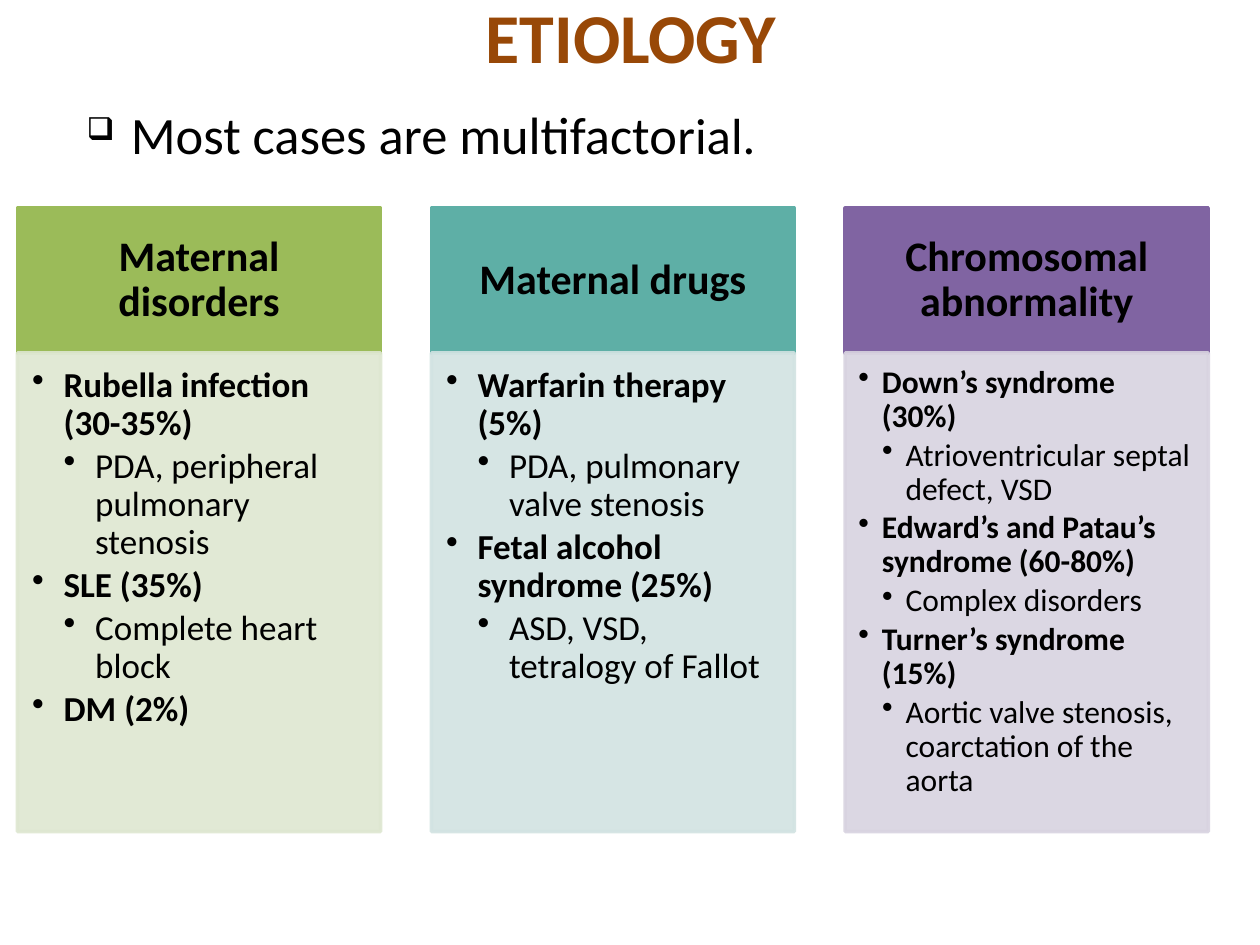
from dataclasses import dataclass

import pptx
import pptx.util
import pptx.dml.color
import pptx.enum.shapes
import pptx.enum.text
import pptx.oxml.ns
from lxml import etree

Pt = pptx.util.Pt
ALIGN = pptx.enum.text.PP_ALIGN
ANCHOR = pptx.enum.text.MSO_ANCHOR


@dataclass(frozen=True)
class Theme:
    font: str = "Calibri"
    title: str = "984807"
    text: str = "000000"
    title_size: int = 40
    lead_size: int = 30
    lead_end_size: int = 29
    head_size: int = 24


THEME = Theme()

# Column geometry, in points
LEFT, TOP, PITCH, WIDTH = 10, 119, 236.5, 207.5
HEAD_H, BODY_H = 82.75, 273.5

# Heading, heading colour, body colour, text size, indent step,
# body insets (left, top, right, bottom), items as (level, text)
COLUMNS = [
    ("Maternal disorders", "9BBB59", "DEE7D1", 20, 18, (8.4, 8.4, 11.2, 12.6), [
        (0, "Rubella infection (30-35%)"),
        (1, "PDA, peripheral pulmonary stenosis"),
        (0, "SLE (35%)"),
        (1, "Complete heart block"),
        (0, "DM (2%)"),
    ]),
    ("Maternal drugs", "5EAFA6", "D2E3E2", 20, 18, (8.4, 8.4, 11.2, 12.6), [
        (0, "Warfarin therapy (5%)"),
        (1, "PDA, pulmonary valve stenosis"),
        (0, "Fetal alcohol syndrome (25%)"),
        (1, "ASD, VSD, tetralogy of Fallot"),
    ]),
    ("Chromosomal abnormality", "8064A2", "D8D3E0", 18, 13.5, (7.5, 7.5, 10, 11.2), [
        (0, "Down’s syndrome (30%)"),
        (1, "Atrioventricular septal defect, VSD"),
        (0, "Edward’s and Patau’s syndrome (60-80%)"),
        (1, "Complex disorders"),
        (0, "Turner’s syndrome (15%)"),
        (1, "Aortic valve stenosis, coarctation of the aorta"),
    ]),
]


def rgb(color):
    return pptx.dml.color.RGBColor.from_string(color)


def add_run(p, text, size, bold=False, color=THEME.text):
    r = p.add_run()
    r.text = text
    r.font.name = THEME.font
    r.font.size = Pt(size)
    r.font.bold = bold
    r.font.color.rgb = rgb(color)


def set_bullet(p, char, left, hang, percent=100):
    """Give the paragraph a hanging bullet; lengths are in points."""
    pPr = p._p.get_or_add_pPr()
    pPr.set("marL", str(Pt(left)))
    pPr.set("indent", str(-Pt(hang)))
    qn = pptx.oxml.ns.qn
    etree.SubElement(pPr, qn("a:buSzPct"), val=str(percent * 1000))
    etree.SubElement(pPr, qn("a:buChar"), char=char)


def set_frame(tf, insets, anchor):
    tf.word_wrap = True
    tf.auto_size = pptx.enum.text.MSO_AUTO_SIZE.NONE
    tf.vertical_anchor = anchor
    tf.margin_left, tf.margin_top, tf.margin_right, tf.margin_bottom = map(Pt, insets)


def add_box(group, x, y, w, h, color, opacity=100):
    sp = group.shapes.add_shape(
        pptx.enum.shapes.MSO_SHAPE.RECTANGLE, Pt(x), Pt(y), Pt(w), Pt(h))
    sp.shadow.inherit = False
    sp.fill.solid()
    sp.fill.fore_color.rgb = rgb(color)
    sp.line.color.rgb = rgb(color)
    sp.line.width = Pt(2)
    if opacity < 100:
        qn = pptx.oxml.ns.qn
        for clr in sp._element.spPr.iter(qn("a:srgbClr")):
            etree.SubElement(clr, qn("a:alpha"), val=str(opacity * 1000))
    return sp


def add_title(s, text):
    sp = s.shapes.title
    sp.left, sp.top, sp.width, sp.height = Pt(36.5), Pt(-13.5), Pt(648), Pt(67.5)
    set_frame(sp.text_frame, (7.2, 3.6, 7.2, 3.6), ANCHOR.MIDDLE)
    p = sp.text_frame.paragraphs[0]
    p.alignment = ALIGN.CENTER
    add_run(p, text, THEME.title_size, True, THEME.title)


def add_lead(s):
    sp = s.shapes.add_textbox(Pt(42.5), Pt(54.75), Pt(648), Pt(382.5))
    set_frame(sp.text_frame, (7.2, 3.6, 7.2, 3.6), ANCHOR.TOP)
    p = sp.text_frame.paragraphs[0]
    p.space_before = Pt(7)
    set_bullet(p, "❑", 25.2, 25.2, 60)
    add_run(p, "Most cases are multifacto", THEME.lead_size)
    add_run(p, "rial.", THEME.lead_end_size)


def add_column(group, x, heading, head_color, body_color, size, step, insets, items):
    head = add_box(group, x, TOP, WIDTH, HEAD_H, head_color)
    set_frame(head.text_frame, (13.5, 7.8, 13.5, 7.8), ANCHOR.MIDDLE)
    p = head.text_frame.paragraphs[0]
    p.alignment = ALIGN.CENTER
    p.line_spacing = 0.9
    add_run(p, heading, THEME.head_size, True)

    body = add_box(group, x, TOP + HEAD_H, WIDTH, BODY_H, body_color, 90)
    tf = body.text_frame
    set_frame(tf, insets, ANCHOR.TOP)
    for i, (level, text) in enumerate(items):
        p = tf.add_paragraph() if i else tf.paragraphs[0]
        p.level = level
        p.alignment = ALIGN.LEFT
        p.line_spacing = 0.9
        p.space_after = Pt(size * 0.15)
        set_bullet(p, "•", step * (level + 1), step)
        add_run(p, text, size, bold=level == 0)


def main():
    prs = pptx.Presentation()
    prs.slide_width, prs.slide_height = Pt(720), Pt(540)
    s = prs.slides.add_slide(prs.slide_layouts.get_by_name("Title Only"))
    add_title(s, "ETIOLOGY")
    add_lead(s)
    group = s.shapes.add_group_shape()
    for i, column in enumerate(COLUMNS):
        add_column(group, LEFT + i * PITCH, *column)
    prs.save("out.pptx")


if __name__ == "__main__":
    main()
